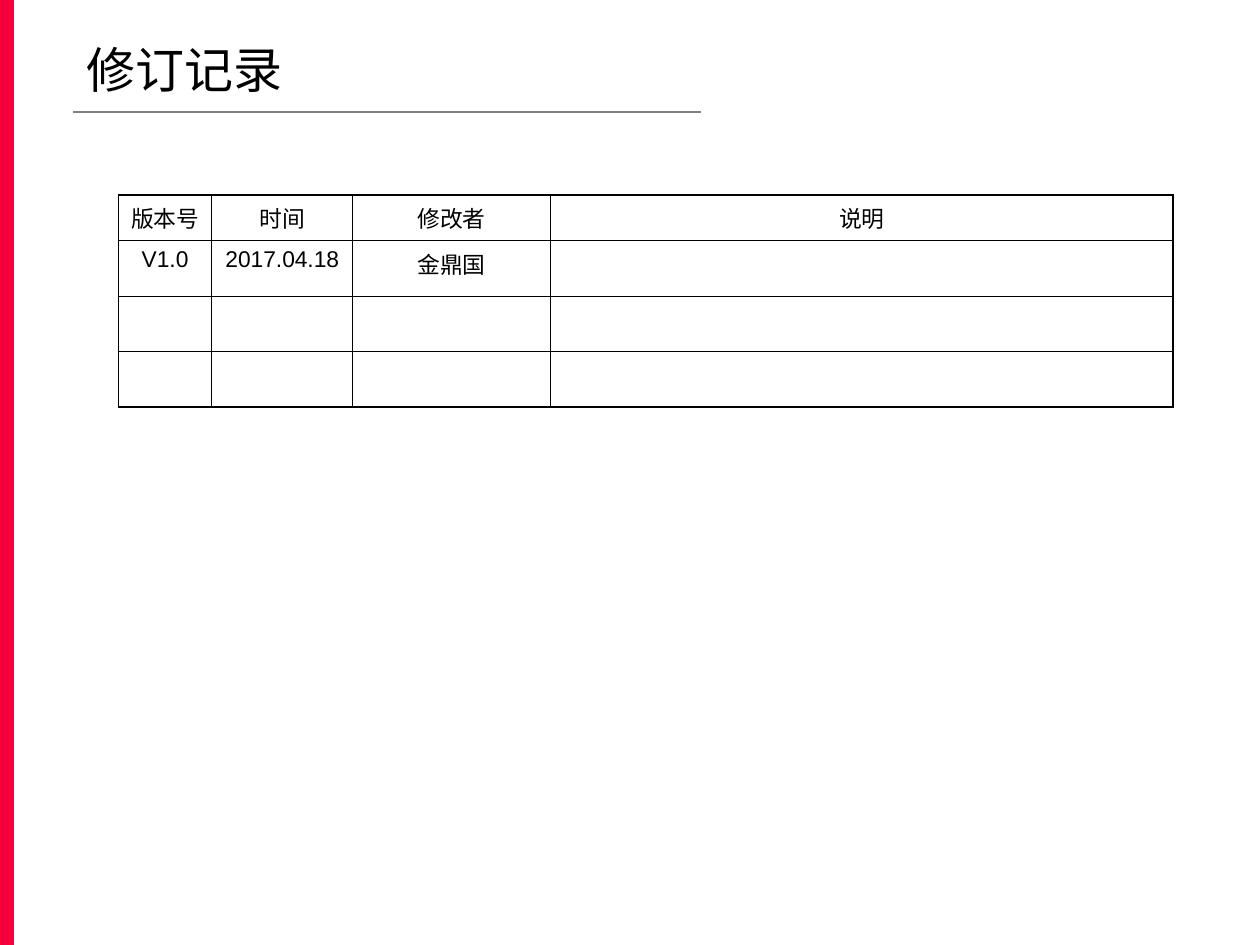
from dataclasses import dataclass

from lxml import etree
from pptx import Presentation
from pptx import util as u
from pptx.dml.color import RGBColor
from pptx.enum import shapes, text
from pptx.oxml import ns

FONT = "Arial"
BLACK = "000000"
THIN, THICK = 0.45, 1.08


@dataclass
class Column:
    title: str
    width: float
    value: str = ""


COLUMNS = [
    Column("版本号", 0.74, "V1.0"),
    Column("时间", 1.12, "2017.04.18"),
    Column("修改者", 1.57, "金鼎国"),
    Column("说明", 4.94),
]
ROW_HEIGHTS = [0.36, 0.44, 0.44, 0.44]


def rgb(color: str) -> RGBColor:
    return RGBColor.from_string(color)


def write(tf, content: str, *, size: float, color: str = BLACK,
          align=text.PP_ALIGN.LEFT, before: float = 0, after: float = 0) -> None:
    p = tf.paragraphs[0]
    p.alignment = align
    p.space_before, p.space_after = u.Pt(before), u.Pt(after)
    p.font.size = u.Pt(size)
    if content:
        r = p.add_run()
        r.text = content
        r.font.name, r.font.size = FONT, u.Pt(size)
        r.font.color.rgb = rgb(color)


def set_borders(cell, widths: dict[str, float]) -> None:
    tc_pr = cell._tc.get_or_add_tcPr()
    for i, (side, width) in enumerate(widths.items()):
        ln = etree.Element(ns.qn(f"a:ln{side}"), w=str(int(u.Pt(width))))
        fill = etree.SubElement(ln, ns.qn("a:solidFill"))
        etree.SubElement(fill, ns.qn("a:srgbClr"), val=BLACK)
        tc_pr.insert(i, ln)


def add_sidebar(s) -> None:
    sp = s.shapes.add_shape(shapes.MSO_SHAPE.RECTANGLE, 0, 0, u.Inches(0.11), u.Inches(7.5))
    sp.shadow.inherit = False
    sp.fill.solid()
    sp.fill.fore_color.rgb = rgb("F6003B")
    sp.line.fill.background()


def add_title(s) -> None:
    rule = s.shapes.add_connector(shapes.MSO_CONNECTOR.STRAIGHT, u.Inches(0.58),
                                  u.Inches(0.89), u.Inches(5.56), u.Inches(0.89))
    rule.line.color.rgb = rgb("808080")
    rule.line.width = u.Pt(0.75)
    etree.SubElement(rule._element.spPr, ns.qn("a:effectLst"))
    sp = s.shapes.add_textbox(u.Inches(0.59), u.Inches(0.23), u.Inches(7.79), u.Inches(0.63))
    tf = sp.text_frame
    tf.word_wrap = True
    tf.vertical_anchor = text.MSO_ANCHOR.MIDDLE
    write(tf, "修订记录", size=28)


def add_history(s) -> None:
    last_row, last_col = len(ROW_HEIGHTS) - 1, len(COLUMNS) - 1
    frame = s.shapes.add_table(
        len(ROW_HEIGHTS), len(COLUMNS), u.Inches(0.94), u.Inches(1.55),
        u.Inches(sum(c.width for c in COLUMNS)), u.Inches(sum(ROW_HEIGHTS)))
    table = frame.table
    table.first_row = table.horz_banding = False
    for row, height in zip(table.rows, ROW_HEIGHTS):
        row.height = u.Inches(height)
    for j, column in enumerate(COLUMNS):
        table.columns[j].width = u.Inches(column.width)
        for i in range(len(ROW_HEIGHTS)):
            cell = table.cell(i, j)
            cell.margin_left = cell.margin_right = u.Inches(0.09)
            cell.fill.background()
            set_borders(cell, {
                "L": THICK if j == 0 else THIN,
                "R": THICK if j == last_col else THIN,
                "T": THICK if i == 0 else THIN,
                "B": THICK if i == last_row else THIN,
            })
            content = {0: column.title, 1: column.value}.get(i, "")
            write(cell.text_frame, content, size=13, align=text.PP_ALIGN.CENTER,
                  before=1, after=1)


def main() -> None:
    prs = Presentation()
    prs.slide_width, prs.slide_height = u.Inches(10), u.Inches(7.5)
    s = prs.slides.add_slide(prs.slide_layouts[6])
    add_sidebar(s)
    add_title(s)
    add_history(s)
    prs.save("out.pptx")


if __name__ == "__main__":
    main()
